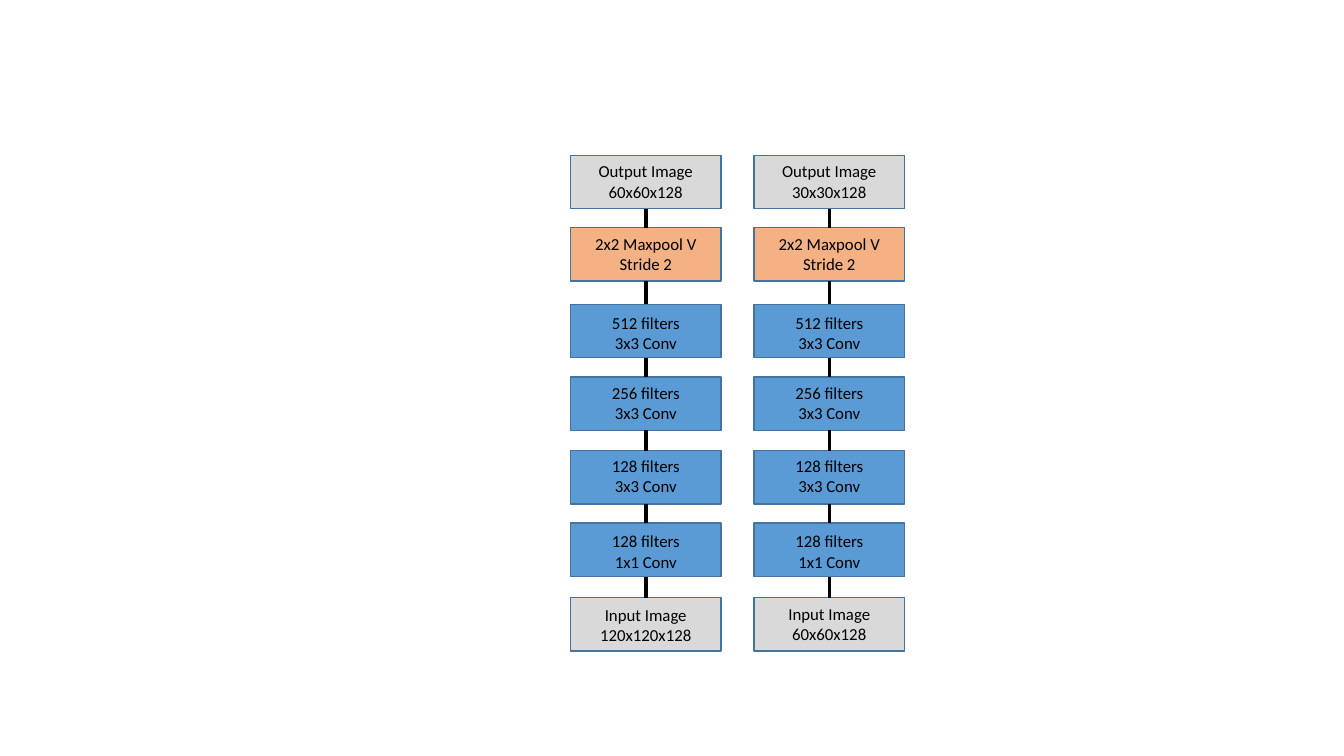
"""Builds a slide with two columns of convolution blocks."""
from lxml import etree
from pptx import Presentation
from pptx.dml.color import RGBColor
from pptx.enum.shapes import MSO_CONNECTOR, MSO_SHAPE
from pptx.enum.text import MSO_AUTO_SIZE, PP_ALIGN
from pptx.oxml.ns import qn
from pptx.util import Inches, Pt

RECT = MSO_SHAPE.RECTANGLE
STRAIGHT = MSO_CONNECTOR.STRAIGHT
CENTER = PP_ALIGN.CENTER
GROW = MSO_AUTO_SIZE.SHAPE_TO_FIT_TEXT
BLANK = 6
TOP, BOTTOM = 0, 2

COLORS = {"image": "D9D9D9", "pool": "F4B183", "conv": "5B9BD5",
          "border": "43739E", "ink": "000000"}
BOX_W, BOX_H = 1.49, 0.53
LABEL_W, LABEL_H = 1.28, 0.5


class Diagram:
    def __init__(self, slide, font="Calibri", size=12):
        self.slide, self.font, self.size = slide, font, size

    def color(self, name):
        return RGBColor.from_string(COLORS[name])

    def box(self, x, y, kind):
        sp = self.slide.shapes.add_shape(
            RECT, Inches(x), Inches(y), Inches(BOX_W), Inches(BOX_H))
        sp.shadow.inherit = False
        sp.fill.solid()
        sp.fill.fore_color.rgb = self.color(kind)
        sp.line.color.rgb = self.color("border")
        sp.line.width = Pt(1)
        return sp

    def label(self, x, y, lines):
        tf = self.slide.shapes.add_textbox(
            Inches(x), Inches(y), Inches(LABEL_W), Inches(LABEL_H)).text_frame
        tf.word_wrap = True
        tf.auto_size = GROW
        tf.text = "\n".join(lines)
        for p in tf.paragraphs:
            p.alignment = CENTER
            p.font.name = self.font
            p.font.size = Pt(self.size)
            p.font.color.rgb = self.color("ink")

    def link(self, lower, upper):
        line = self.slide.shapes.add_connector(STRAIGHT, 0, 0, 0, 0)
        line.begin_connect(lower, TOP)
        line.end_connect(upper, BOTTOM)
        line.line.color.rgb = self.color("ink")
        line.line.width = Pt(2.5)
        etree.SubElement(line._element.spPr, qn("a:effectLst"))

    def column(self, x, rows):
        boxes = []
        for y, label_y, kind, *lines in rows:
            boxes.append(self.box(x, y, kind))
            self.label(x + (BOX_W - LABEL_W) / 2, label_y, lines)
        for upper, lower in zip(boxes, boxes[1:]):
            self.link(lower, upper)


LAYERS = [
    (2.26, 2.27, "pool", "2x2 Maxpool V", "Stride 2"),
    (3.02, 3.05, "conv", "512 filters", "3x3 Conv"),
    (3.74, 3.75, "conv", "256 filters", "3x3 Conv"),
    (4.47, 4.47, "conv", "128 filters", "3x3 Conv"),
    (5.19, 5.22, "conv", "128 filters", "1x1 Conv"),
]
COLUMNS = [
    (5.66, "60x60x128", "120x120x128", 5.95),
    (7.48, "30x30x128", "60x60x128", 5.94),
]

prs = Presentation()
prs.slide_width, prs.slide_height = Inches(13.33), Inches(7.5)
diagram = Diagram(prs.slides.add_slide(prs.slide_layouts[BLANK]))
for x, output_size, input_size, input_label_y in COLUMNS:
    diagram.column(x, [
        (1.54, 1.55, "image", "Output Image", output_size),
        *LAYERS,
        (5.93, input_label_y, "image", "Input Image", input_size),
    ])
prs.save("out.pptx")
